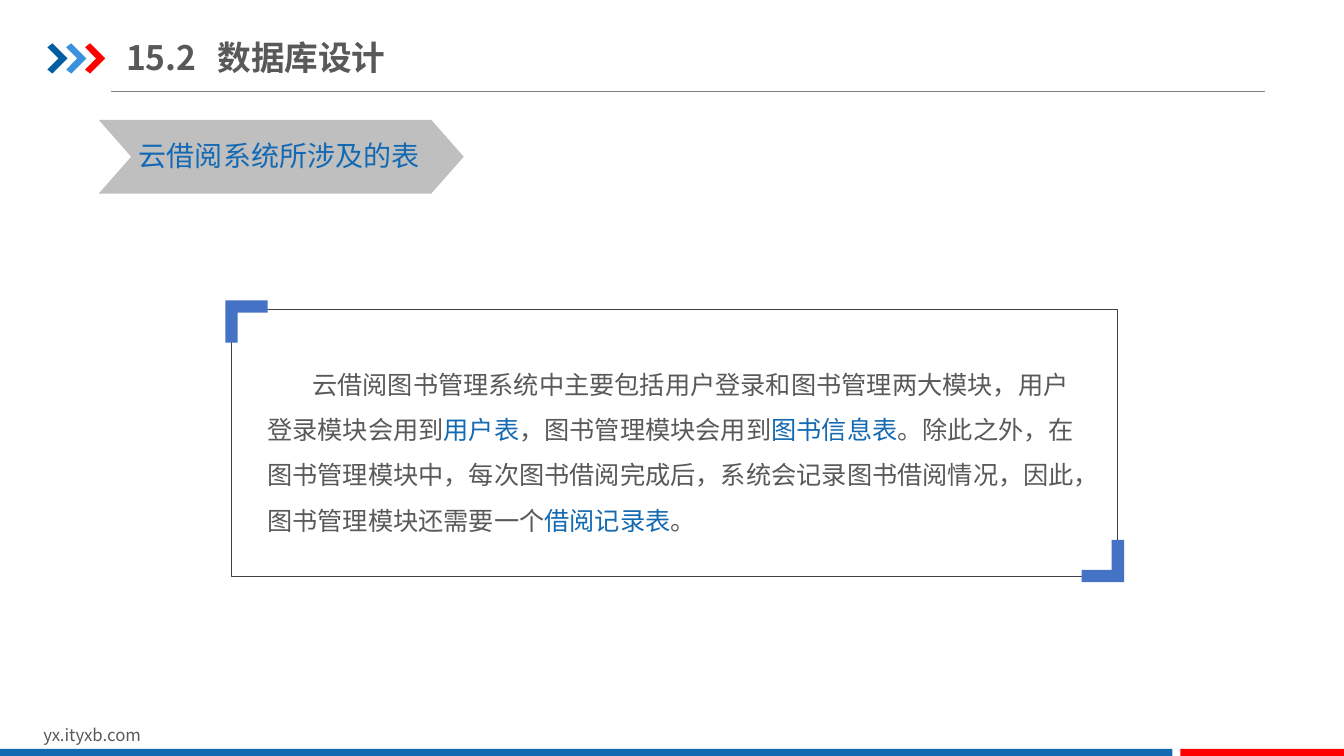
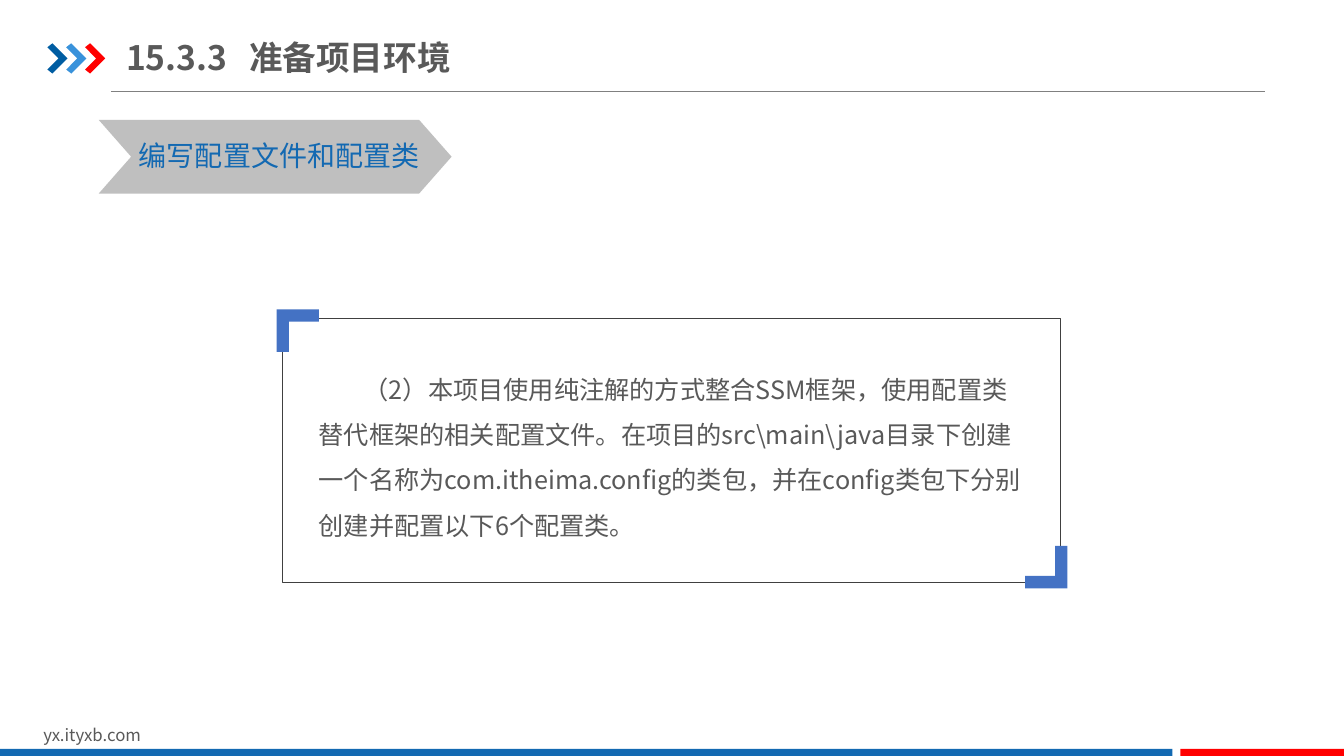
from dataclasses import dataclass
from typing import NamedTuple

from lxml import etree
from pptx import Presentation
from pptx.dml.color import RGBColor
from pptx.enum.shapes import MSO_CONNECTOR, MSO_SHAPE
from pptx.enum.text import MSO_ANCHOR
from pptx.oxml.ns import qn
from pptx.util import Inches, Pt

RECT = MSO_SHAPE.RECTANGLE
CHEVRON = MSO_SHAPE.CHEVRON
STRAIGHT = MSO_CONNECTOR.STRAIGHT
TOP = MSO_ANCHOR.TOP
MIDDLE = MSO_ANCHOR.MIDDLE

WIDE, HIGH = Inches(13.33), Inches(7.5)
FONT = "Noto Sans CJK SC"
HEX = {
    "text": "595959",
    "blue": "1369B2",
    "navy": "005DA2",
    "sky": "3992DB",
    "red": "FF0000",
    "tag": "BFBFBF",
    "rule": "808080",
    "edge": "404040",
    "corner": "4472C4",
}
ARROW = ((0, 0.13), (0.25, 0), (1, 0.5), (0.25, 1), (0, 0.87), (0.55, 0.5))
ANGLE = ((0, 0), (1, 0), (1, 0.29), (0.29, 0.29), (0.29, 1), (0, 1))
TURNED = tuple((1 - x, 1 - y) for x, y in ANGLE)


class Box(NamedTuple):
    """Percent shares of the slide's width and height."""

    left: float
    top: float
    width: float
    height: float

    def place(self) -> tuple[int, int, int, int]:
        return across(self.left), down(self.top), across(self.width), down(self.height)


@dataclass(frozen=True)
class Style:
    size: int
    color: str = "text"
    bold: bool = False
    leading: float = 1.0
    indent: float = 0
    tab: float = 0
    anchor: MSO_ANCHOR = TOP
    inset: float = 0.1


@dataclass(frozen=True)
class Page:
    number: str
    title: str
    tab: float
    tag: str
    length: float
    frame: Box
    drop: float
    texts: tuple[str, ...]


def across(share: float) -> int:
    return round(WIDE * share / 100)


def down(share: float) -> int:
    return round(HIGH * share / 100)


def color(name: str) -> RGBColor:
    return RGBColor.from_string(HEX[name])


def paint(shape, name: str) -> None:
    shape.shadow.inherit = False
    shape.fill.solid()
    shape.fill.fore_color.rgb = color(name)
    shape.line.fill.background()


def block(slide, box: Box, name: str, kind=RECT):
    shape = slide.shapes.add_shape(kind, *box.place())
    paint(shape, name)
    return shape


def outline(slide, box: Box, points: tuple, name: str) -> None:
    left, top, width, height = box.place()
    spots = [(round(left + x * width), round(top + y * height)) for x, y in points]
    pen = slide.shapes.build_freeform(*spots[0])
    pen.add_line_segments(spots[1:], close=True)
    paint(pen.convert_to_shape(), name)


def write(slide, box: Box, texts: tuple[str, ...], style: Style) -> None:
    frame = slide.shapes.add_textbox(*box.place()).text_frame
    frame.word_wrap = True
    frame.vertical_anchor = style.anchor
    frame.margin_left = frame.margin_right = Inches(style.inset)
    para = frame.paragraphs[0]
    props = para._p.get_or_add_pPr()
    if style.indent:
        props.set("indent", str(across(style.indent)))
    if style.tab:
        tabs = etree.SubElement(props, qn("a:tabLst"))
        etree.SubElement(tabs, qn("a:tab"), pos=str(across(style.tab)), algn="l")
    para.line_spacing = style.leading
    font = para.font
    font.name = FONT
    font.size = Pt(style.size)
    font.bold = style.bold
    font.color.rgb = color(style.color)
    etree.SubElement(props.find(qn("a:defRPr")), qn("a:ea"), typeface=FONT)
    for index, text in enumerate(texts):
        run = para.add_run()
        run.text = text
        if index % 2:
            run.font.color.rgb = color("blue")


def base(slide) -> None:
    rule = slide.shapes.add_connector(
        STRAIGHT, across(8.25), down(12.13), across(94.13), down(12.13))
    rule.line.color.rgb = color("rule")
    rule.line.width = Pt(0.5)
    etree.SubElement(rule._element.spPr, qn("a:effectLst"))
    for index, name in enumerate(("navy", "sky", "red")):
        outline(slide, Box(3.53 + 1.4 * index, 5.73, 1.5, 4), ARROW, name)
    write(slide, Box(2.48, 95.2, 23.85, 4), ("yx.ityxb.com",), Style(12))
    block(slide, Box(0, 99.07, 87.23, 0.93), "blue")
    block(slide, Box(87.83, 99.07, 12.17, 0.93), "red")


def panel(slide, page: Page) -> None:
    left, top, width, height = page.frame
    write(slide, Box(left + 1.97, top + page.drop, width - 3.8, 26), page.texts,
          Style(18, leading=1.5, indent=3.35))
    edge = slide.shapes.add_shape(RECT, *page.frame.place())
    edge.shadow.inherit = False
    edge.fill.background()
    edge.line.color.rgb = color("edge")
    edge.line.width = Pt(0.25)
    wide, high = 3.15, 5.6
    outline(slide, Box(left - 0.42, top - 1.2, wide, high), ANGLE, "corner")
    end = Box(left + width + 0.52 - wide, top + height + 0.75 - high, wide, high)
    outline(slide, end, TURNED, "corner")


def draw(slide, page: Page) -> None:
    base(slide)
    tag = block(slide, Box(7.35, 15.87, page.length, 9.73), "tag", CHEVRON)
    tag.adjustments[0] = 0.44
    write(slide, Box(9.6, 17.73, 24, 5.87), (page.tag,), Style(20, "blue"))
    write(slide, Box(9.38, 3.87, 40, 7.33), (f"{page.number}\t{page.title}",),
          Style(24, bold=True, tab=page.tab, anchor=MIDDLE, inset=0))
    panel(slide, page)


PAGES = (
    Page("15.2", "数据库设计", 6.8, "云借阅系统所涉及的表", 27.15,
         Box(17.18, 40.93, 65.93, 35.33), 5.2,
         ("云借阅图书管理系统中主要包括用户登录和图书管理两大模块，用户登录模块会用到",
          "用户表", "，图书管理模块会用到", "图书信息表",
          "。除此之外，在图书管理模块中，每次图书借阅完成后，系统会记录图书借阅情况，"
          "因此，图书管理模块还需要一个", "借阅记录表", "。")),
    Page("15.3.3", "准备项目环境", 9.15, "编写配置文件和配置类", 26.25,
         Box(21, 42.13, 57.9, 34.93), 4.67,
         (r"（2）本项目使用纯注解的方式整合SSM框架，使用配置类替代框架的相关配置文件。"
          r"在项目的src\main\java目录下创建一个名称为com.itheima.config的类包，"
          r"并在config类包下分别创建并配置以下6个配置类。",)),
)


def main() -> None:
    deck = Presentation()
    deck.slide_width, deck.slide_height = WIDE, HIGH
    for page in PAGES:
        draw(deck.slides.add_slide(deck.slide_layouts[6]), page)
    deck.save("out.pptx")


if __name__ == "__main__":
    main()
